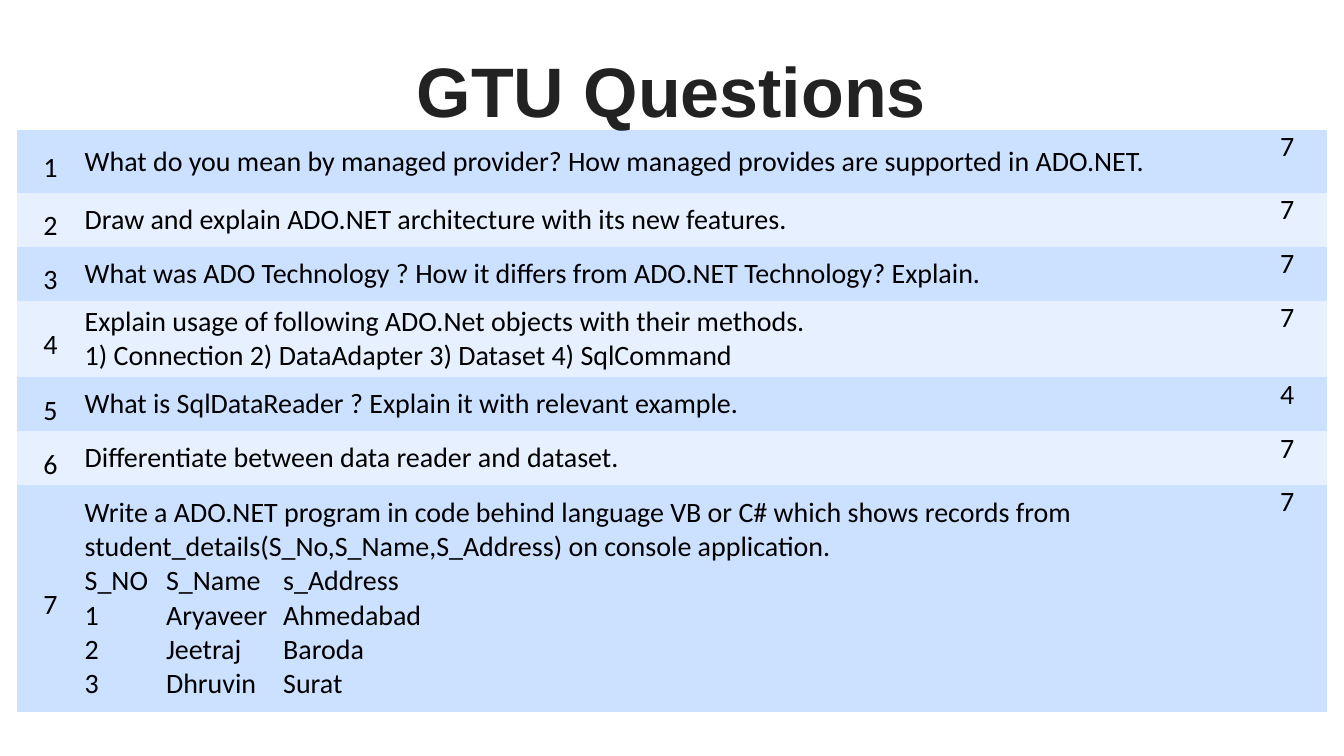
from dataclasses import dataclass

from lxml.etree import SubElement
from pptx import Presentation
from pptx.dml.color import RGBColor
from pptx.enum.text import MSO_ANCHOR, MSO_AUTO_SIZE, PP_ALIGN
from pptx.oxml.ns import qn
from pptx.util import Cm, Pt


@dataclass(frozen=True)
class Theme:
    title_color: str = "222222"
    text_color: str = "000000"
    bands: tuple = ("CCE0FF", "E7F0FF")
    title_font: str = "Arial"
    body_font: str = "Calibri"
    title_size: int = 100
    body_size: int = 40
    title_spacing: int = 136
    number_spacing: int = 67


THEME = Theme()
PLAIN_TABLE_STYLE = "{2D5ABB26-0587-4C30-8999-92F81FD0307C}"
COLUMN_WIDTHS = (3.4, 58.65, 3.96)
RECORD_TABS = (4.1, 10)
SINGLE_HEIGHT = 2.72

QUESTIONS = (
    ("What do you mean by managed provider? How managed provides are supported in ADO.NET.", 7, 3.18),
    ("Draw and explain ADO.NET architecture with its new features.", 7, SINGLE_HEIGHT),
    ("What was ADO Technology ? How it differs from ADO.NET Technology? Explain.", 7, SINGLE_HEIGHT),
    ("Explain usage of following ADO.Net objects with their methods.\n"
     "1) Connection 2) DataAdapter 3) Dataset 4) SqlCommand", 7, 3.84),
    ("What is SqlDataReader ? Explain it with relevant example.", 4, SINGLE_HEIGHT),
    ("Differentiate between data reader and dataset.", 7, SINGLE_HEIGHT),
    ("Write a ADO.NET program in code behind language VB or C# which shows records from "
     "student_details(S_No,S_Name,S_Address) on console application.\n"
     "S_NO\tS_Name\ts_Address\n"
     "1\tAryaveer\tAhmedabad\n"
     "2\tJeetraj\tBaroda\n"
     "3\tDhruvin\tSurat", 7, 11.43),
)


def set_tabs(paragraph, positions):
    tab_list = SubElement(paragraph._p.get_or_add_pPr(), qn("a:tabLst"))
    for position in positions:
        SubElement(tab_list, qn("a:tab"), pos=str(int(Cm(position))), algn="l")


def write_text(frame, text, font=THEME.body_font, size=THEME.body_size,
               color=THEME.text_color, bold=False, align=PP_ALIGN.LEFT, spacing=None):
    for index, line in enumerate(text.split("\n")):
        paragraph = frame.add_paragraph() if index else frame.paragraphs[0]
        paragraph.alignment = align
        if spacing:
            paragraph.line_spacing = Pt(spacing)
        if "\t" in line:
            set_tabs(paragraph, RECORD_TABS)
        run = paragraph.add_run()
        run.text = line
        run.font.name = font
        run.font.size = Pt(size)
        run.font.bold = bold
        run.font.color.rgb = RGBColor.from_string(color)


def fill_cell(cell, text, band, anchor=MSO_ANCHOR.MIDDLE, **text_format):
    cell.margin_left = cell.margin_right = cell.margin_top = Cm(0.03)
    cell.margin_bottom = 0
    cell.vertical_anchor = anchor
    cell.fill.solid()
    cell.fill.fore_color.rgb = RGBColor.from_string(band)
    write_text(cell.text_frame, text, **text_format)


def add_questions(slide):
    table = slide.shapes.add_table(
        len(QUESTIONS), len(COLUMN_WIDTHS), Cm(0.84), Cm(6.53),
        Cm(sum(COLUMN_WIDTHS)), Cm(sum(height for _, _, height in QUESTIONS))).table
    table._tbl.tblPr.find(qn("a:tableStyleId")).text = PLAIN_TABLE_STYLE
    table.first_row = table.horz_banding = False
    for column, width in zip(table.columns, COLUMN_WIDTHS):
        column.width = Cm(width)
    for index, (question, marks, height) in enumerate(QUESTIONS):
        table.rows[index].height = Cm(height)
        band = THEME.bands[index % 2]
        fill_cell(table.cell(index, 0), str(index + 1), band,
                  align=PP_ALIGN.CENTER, spacing=THEME.number_spacing)
        fill_cell(table.cell(index, 1), question, band)
        fill_cell(table.cell(index, 2), str(marks), band,
                  anchor=MSO_ANCHOR.TOP, align=PP_ALIGN.CENTER)


def add_title(slide, text):
    frame = slide.shapes.add_textbox(Cm(20.8), Cm(1.9), Cm(26.11), Cm(4.62)).text_frame
    frame.word_wrap = False
    frame.auto_size = MSO_AUTO_SIZE.SHAPE_TO_FIT_TEXT
    frame.vertical_anchor = MSO_ANCHOR.MIDDLE
    frame.margin_left = frame.margin_right = frame.margin_top = frame.margin_bottom = Cm(0.2)
    write_text(frame, text, font=THEME.title_font, size=THEME.title_size,
               color=THEME.title_color, bold=True, spacing=THEME.title_spacing)


def main():
    presentation = Presentation()
    presentation.slide_width = Cm(67.73)
    presentation.slide_height = Cm(38.1)
    slide = presentation.slides.add_slide(presentation.slide_layouts[6])
    add_questions(slide)
    add_title(slide, "GTU Questions")
    presentation.save("out.pptx")


if __name__ == "__main__":
    main()
